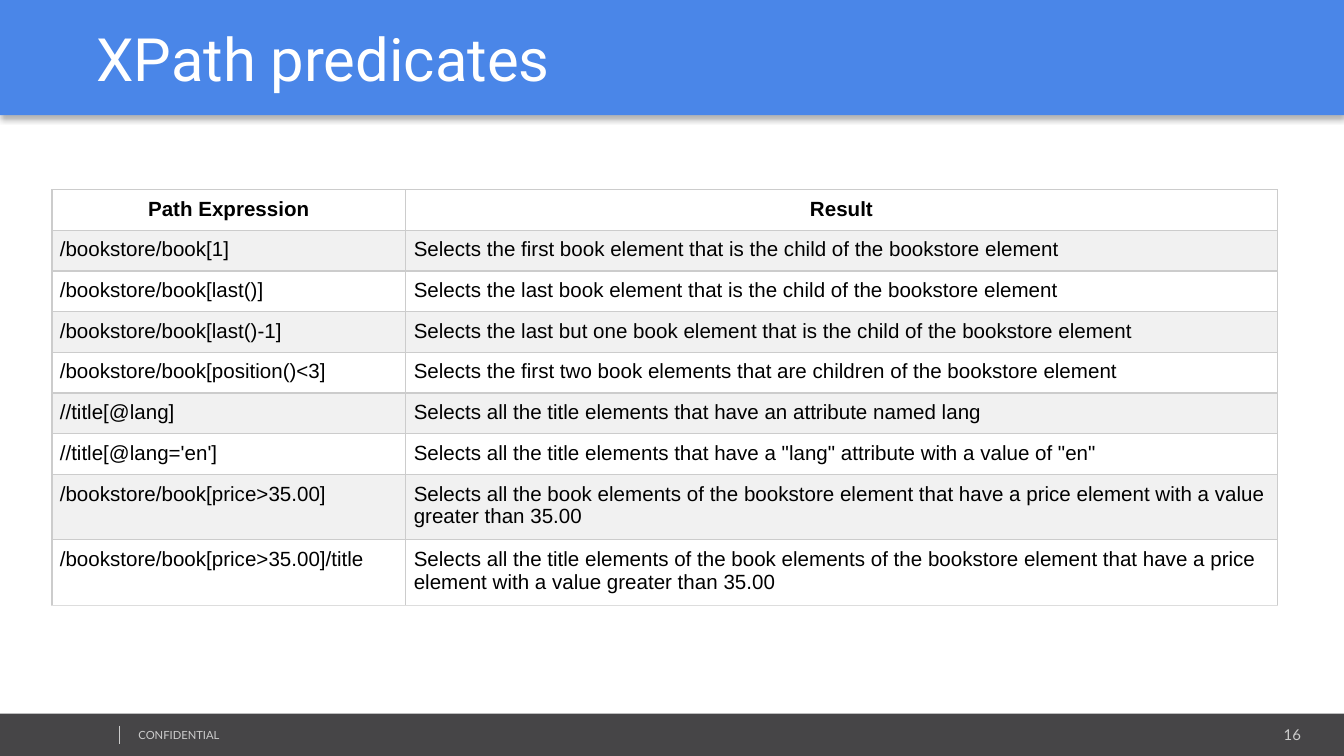
import dataclasses

import pptx
import pptx.dml.color
import pptx.enum.shapes
import pptx.enum.text
import pptx.oxml
import pptx.oxml.ns
import pptx.util

Pt = pptx.util.Pt
ALIGN = pptx.enum.text.PP_ALIGN
ANCHOR = pptx.enum.text.MSO_ANCHOR


@dataclasses.dataclass(frozen=True)
class Theme:
    """Colours, fonts and type sizes of the deck."""
    banner: str = "4A86E8"
    footer: str = "464547"
    muted: str = "CCCCCC"
    white: str = "FFFFFF"
    band: str = "F1F1F1"
    ink: str = "000000"
    table_end: str = "DDDDDD"
    title_font: str = "Roboto"
    table_font: str = "Arial"
    footer_font: str = "Lato"
    title_size: float = 32
    table_size: float = 11
    number_size: float = 8
    label_size: float = 6
    line_width: float = 0.75


@dataclasses.dataclass(frozen=True)
class Box:
    """A rectangle in points."""
    left: float
    top: float
    width: float
    height: float

    def lengths(self):
        """Return the four lengths for python-pptx."""
        return [Pt(value) for value in (self.left, self.top, self.width, self.height)]


THEME = Theme()
HEADER = ("Path Expression", "Result")
PREDICATES = [
    ("/bookstore/book[1]", "Selects the first book element that is the child of the bookstore element"),
    ("/bookstore/book[last()]", "Selects the last book element that is the child of the bookstore element"),
    ("/bookstore/book[last()-1]",
     "Selects the last but one book element that is the child of the bookstore element"),
    ("/bookstore/book[position()<3]",
     "Selects the first two book elements that are children of the bookstore element"),
    ("//title[@lang]", "Selects all the title elements that have an attribute named lang"),
    ("//title[@lang='en']",
     'Selects all the title elements that have a "lang" attribute with a value of "en"'),
    ("/bookstore/book[price>35.00]",
     "Selects all the book elements of the bookstore element that have a price element "
     "with a value greater than 35.00"),
    ("/bookstore/book[price>35.00]/title",
     "Selects all the title elements of the book elements of the bookstore element that have "
     "a price element with a value greater than 35.00"),
]


def rgb(code):
    """Turn a hex code into a colour."""
    return pptx.dml.color.RGBColor.from_string(code)


def add_xml(parent, body):
    """Append a DrawingML element written as text."""
    element = pptx.oxml.parse_xml(body.replace(" ", f" {pptx.oxml.ns.nsdecls('a')} ", 1))
    parent.append(element)


def write(para, text, font, size, colour, bold=False, align=ALIGN.LEFT):
    """Add one styled run to a paragraph."""
    para.alignment = align
    span = para.add_run()
    span.text = text
    span.font.name = font
    span.font.size = Pt(size)
    span.font.bold = bold
    span.font.color.rgb = rgb(colour)


def set_insets(frame, left, top, right, bottom):
    """Set the four insets of a text frame or table cell."""
    frame.margin_left, frame.margin_top = Pt(left), Pt(top)
    frame.margin_right, frame.margin_bottom = Pt(right), Pt(bottom)


def add_bar(page, box, colour):
    """Add a plain filled rectangle."""
    bar = page.shapes.add_shape(pptx.enum.shapes.MSO_SHAPE.RECTANGLE, *box.lengths())
    bar.shadow.inherit = False
    bar.fill.solid()
    bar.fill.fore_color.rgb = rgb(colour)
    bar.line.fill.background()
    return bar


def add_footer_text(page, box, text, size, align):
    """Add a small muted text to the footer."""
    frame = page.shapes.add_textbox(*box.lengths()).text_frame
    frame.word_wrap = True
    set_insets(frame, 5, 3, 5, 3)
    write(frame.paragraphs[0], text, THEME.footer_font, size, THEME.muted, align=align)


def add_footer(page, box, label, number):
    """Place the footer bar with its divider, label and page number."""
    add_bar(page, box, THEME.footer)
    add_footer_text(page, Box(box.left + 584.6, box.top + 3.6, 117.4, 15), number,
                    THEME.number_size, ALIGN.RIGHT)
    add_footer_text(page, Box(box.left + 69.2, box.top + 5, 182, 13), label,
                    THEME.label_size, ALIGN.LEFT)
    across = Pt(box.left + 64)
    divider = page.shapes.add_connector(
        pptx.enum.shapes.MSO_CONNECTOR.STRAIGHT,
        across, Pt(box.top + 6.5), across, Pt(box.top + 16.5))
    divider.line.color.rgb = rgb(THEME.muted)
    divider.line.width = Pt(THEME.line_width)
    add_xml(divider.element.spPr, "<a:effectLst />")


def add_banner(page, box, title):
    """Place the title banner with its soft shadow."""
    banner = add_bar(page, box, THEME.banner)
    properties = banner.element.spPr
    properties.remove(properties.find(pptx.oxml.ns.qn("a:effectLst")))
    add_xml(properties, f'<a:effectLst ><a:outerShdw blurRad="{Pt(3.1)}" dist="{Pt(2)}" dir="5400000" '
            f'rotWithShape="0"><a:srgbClr val="{THEME.ink}"><a:alpha val="30000"/>'
            '</a:srgbClr></a:outerShdw></a:effectLst>')
    frame = banner.text_frame
    frame.word_wrap = True
    frame.vertical_anchor = ANCHOR.MIDDLE
    set_insets(frame, 21.6, 3, 5, 3)
    para = frame.paragraphs[0]
    write(para, title, THEME.title_font, THEME.title_size, THEME.white)
    para._p.get_or_add_pPr().set("indent", str(Pt(30)))


def style_cell(cell, fill, bottom):
    """Set the borders, fill and insets of a table cell."""
    properties = cell._tc.get_or_add_tcPr()
    for side, colour in zip("LRTB", (THEME.muted,) * 3 + (bottom,)):
        add_xml(properties, f'<a:ln{side} w="{Pt(THEME.line_width)}"><a:solidFill>'
                f'<a:srgbClr val="{colour}"/></a:solidFill></a:ln{side}>')
    cell.fill.solid()
    cell.fill.fore_color.rgb = rgb(fill)
    set_insets(cell, 4.3, 4.3, 4.3, 4.3)


def add_predicate_table(page, box, header, entries):
    """Place the banded table of expressions and results."""
    rows = [header, *entries]
    table = page.shapes.add_table(len(rows), len(header), *box.lengths()).table
    table.first_row = table.horz_banding = False
    first_width = 189.6
    for column, width in zip(table.columns, (first_width, box.width - first_width)):
        column.width = Pt(width)
    for index, texts in enumerate(rows):
        is_header, is_last = index == 0, index == len(rows) - 1
        table.rows[index].height = Pt(32.6 if len(texts[1]) > 100 else 20.3)
        for cell, text in zip(table.rows[index].cells, texts):
            style_cell(cell, THEME.band if index % 2 else THEME.white,
                       THEME.table_end if is_last else THEME.muted)
            write(cell.text_frame.paragraphs[0], text, THEME.table_font, THEME.table_size,
                  THEME.ink, is_header, ALIGN.CENTER if is_header else ALIGN.LEFT)


def main():
    """Build the deck and save it."""
    deck = pptx.Presentation()
    deck.slide_width, deck.slide_height = Pt(720), Pt(405)
    page = deck.slides.add_slide(deck.slide_layouts[6])
    add_footer(page, Box(0, 382.3, 720, 23), "CONFIDENTIAL", "16")
    add_banner(page, Box(0, 0, 720, 61.7), "XPath predicates")
    add_predicate_table(page, Box(27.8, 101.6, 656.4, 207.3), HEADER, PREDICATES)
    deck.save("out.pptx")


if __name__ == "__main__":
    main()
